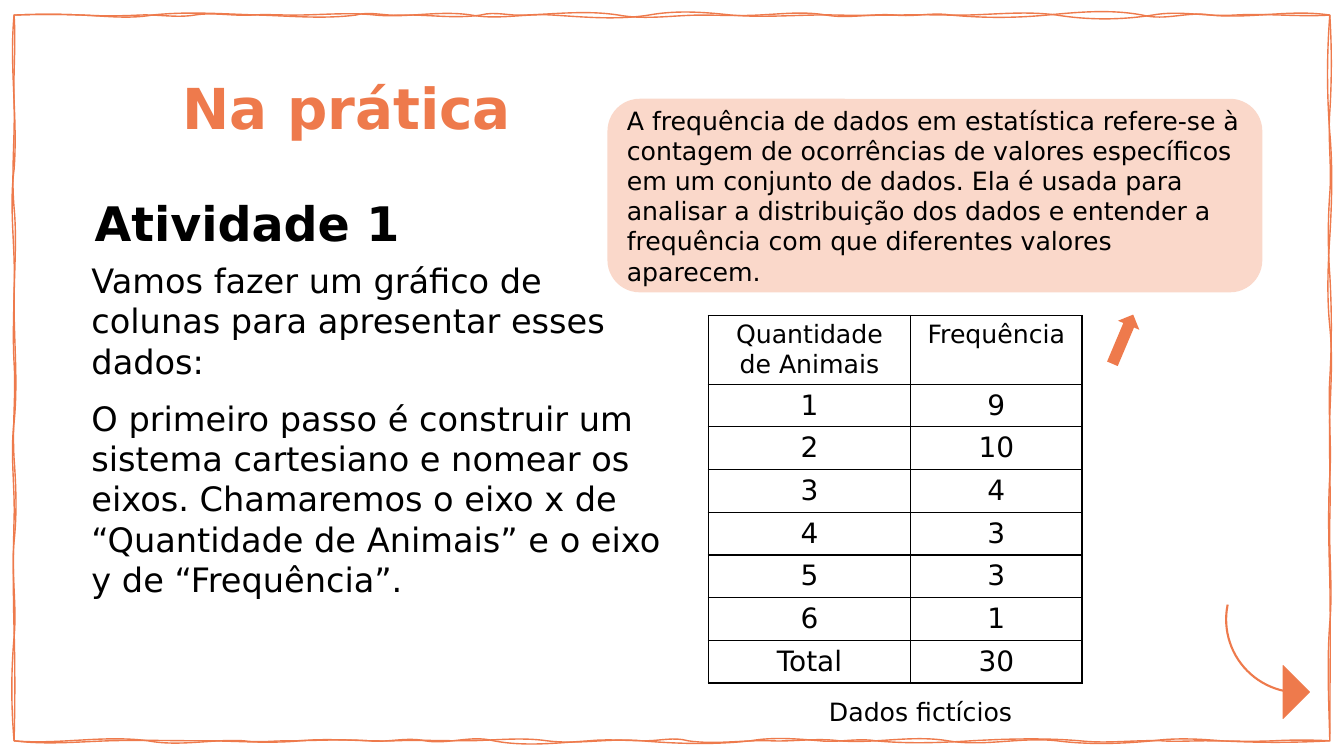
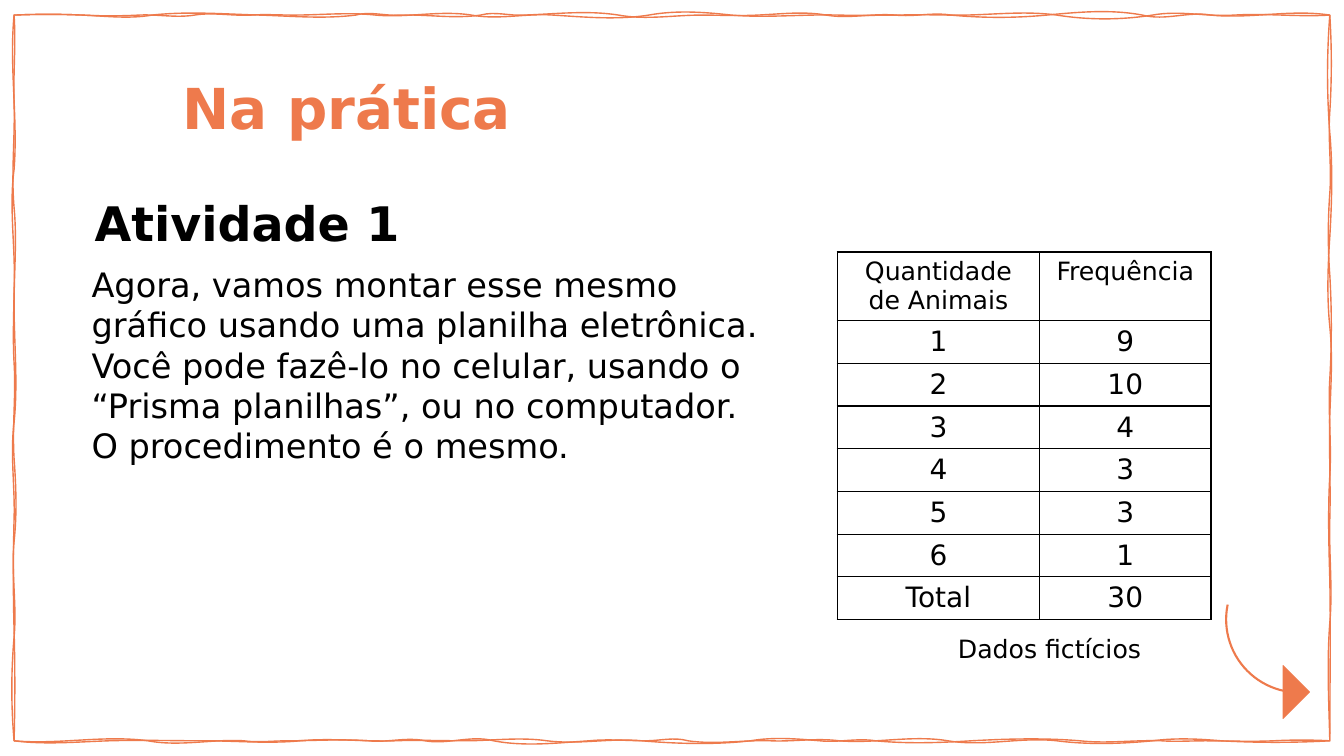
"""Builds two slides of a statistics lesson with a hand-drawn frame."""
from lxml import etree
from pptx import Presentation
from pptx.dml.color import RGBColor
from pptx.enum.shapes import MSO_SHAPE as Preset
from pptx.enum.text import MSO_ANCHOR as Anchor, MSO_AUTO_SIZE as AutoSize, PP_ALIGN as Align
from pptx.oxml.ns import qn
from pptx.util import Inches, Pt

ORANGE, PEACH, BLACK = "EE7A4C", "FAD8CA", "000000"
FONT = "DejaVu Sans"
TITLE, HEADING, CAPTION = "Na prática", "Atividade 1", "Dados fictícios"

FREQUENCIES = [
    ("Quantidade de Animais", "Frequência"),
    ("1", "9"),
    ("2", "10"),
    ("3", "4"),
    ("4", "3"),
    ("5", "3"),
    ("6", "1"),
    ("Total", "30"),
]
COLUMN_WIDTHS = (2.01, 1.7)
HEADER_HEIGHT, ROW_HEIGHT, TABLE_HEIGHT = 0.15, 0.41, 3.73

PAGES = [
    {
        "body": [
            "Vamos fazer um gráfico de colunas para apresentar esses dados:",
            "O primeiro passo é construir um sistema cartesiano e nomear os eixos. "
            "Chamaremos o eixo x de “Quantidade de Animais” e o eixo y de “Frequência”.",
        ],
        "body_at": (0.81, 2.53, 6.04, 3.67),
        "table_at": (7.03, 3.13),
        "callout": "A frequência de dados em estatística refere-se à contagem de ocorrências "
                   "de valores específicos em um conjunto de dados. Ela é usada para analisar "
                   "a distribuição dos dados e entender a frequência com que diferentes "
                   "valores aparecem.",
    },
    {
        "body": [
            "Agora, vamos montar esse mesmo gráfico usando uma planilha eletrônica. "
            "Você pode fazê-lo no celular, usando o “Prisma planilhas”, ou no computador. "
            "O procedimento é o mesmo.",
        ],
        "body_at": (0.81, 2.57, 6.82, 2.69),
        "table_at": (8.31, 2.5),
        "callout": None,
    },
]

FRAME_LEFT, FRAME_TOP, FRAME_RIGHT, FRAME_BOTTOM = 0.14, 0.15, 13.2, 7.35
STRANDS = [
    {
        "top": [(0.82, -1), (1.51, 4), (2.58, -1), (3.53, 4), (3.96, 1), (4.77, 4), (5.2, 1),
                (6.14, -5), (6.96, 0), (7.52, 1), (8.2, -4), (8.89, -2), (9.44, -3),
                (10.39, 3), (11.34, -6), (12.02, -4), (13.2, -6)],
        "right": [(1.32, -3), (2.35, 2), (3.24, -3), (4.12, 1), (5.15, 1), (6.18, 3),
                  (7.35, -1)],
        "bottom": [(12.64, -1), (11.96, 0), (11.53, 1), (10.72, 3), (9.64, -2), (8.69, 3),
                   (8.14, 2), (7.45, -4), (6.37, 3), (5.43, 4), (4.61, 0), (3.92, -1),
                   (2.98, -3), (2.03, 0), (1.08, -1), (0.14, 4)],
        "left": [(6.25, 1), (5.15, -1), (4.19, -4), (3.02, 0), (2.06, 3), (1.03, 1),
                 (0.15, 2)],
    },
    {
        "top": [(0.82, -1), (1.38, 1), (1.93, 3), (2.49, 1), (2.91, 0), (3.73, -3), (4.68, -5),
                (5.49, -2), (6.44, 5), (7.26, -3), (8.33, -1), (9.41, -1), (10.49, -5),
                (11.44, 5), (12.25, 2), (13.2, 2)],
        "right": [(1.11, 2), (1.92, 2), (2.73, -2), (3.76, 2), (4.72, 2), (5.75, -1),
                  (7.35, 0)],
        "bottom": [(12.12, 2), (11.44, -3), (10.49, 4), (9.41, 6), (8.33, 3), (7.65, 1),
                   (6.83, 4), (6.41, 0), (5.85, -2), (4.9, 6), (4.22, 4), (3.66, 2),
                   (2.85, 0), (2.42, 2), (1.47, 6), (0.14, 4)],
        "left": [(6.32, -3), (5.37, -3), (4.55, 2), (3.6, 2), (2.57, 1), (1.68, -4),
                 (0.15, -5)],
    },
]
SIDES = {
    "top": (FRAME_LEFT, FRAME_TOP),
    "right": (FRAME_TOP, FRAME_RIGHT),
    "bottom": (FRAME_RIGHT, FRAME_BOTTOM),
    "left": (FRAME_BOTTOM, FRAME_LEFT),
}


def color(value):
    return RGBColor.from_string(value)


def inches(values):
    return [Inches(value) for value in values]


def apply(target, **values):
    for name, value in values.items():
        setattr(target, name, value)


def write(frame, lines, size, tint=BLACK, bold=False, align=Align.LEFT, after=0,
          anchor=Anchor.TOP, insets=(0.1, 0.05)):
    across, down = inches(insets)
    apply(frame, word_wrap=True, auto_size=AutoSize.NONE, vertical_anchor=anchor,
          margin_left=across, margin_right=across, margin_top=down, margin_bottom=down)
    for index, line in enumerate(lines):
        para = frame.add_paragraph() if index else frame.paragraphs[0]
        apply(para, alignment=align, space_after=Pt(after))
        span = para.add_run()
        span.text = line
        apply(span.font, name=FONT, size=Pt(size), bold=bold)
        span.font.color.rgb = color(tint)


def write_cell(cell, value, size):
    across, down = inches((0.1, 0.05))
    apply(cell, margin_left=across, margin_right=across, margin_top=down, margin_bottom=down)
    para = cell.text_frame.paragraphs[0]
    para.alignment = Align.CENTER
    span = para.add_run()
    span.text = value
    apply(span.font, name=FONT, size=Pt(size), bold=False)
    span.font.color.rgb = color(BLACK)


def add_text(page, place, lines, size, **style):
    box = page.shapes.add_textbox(*inches(place))
    write(box.text_frame, lines, size, **style)


def paint(shape, fill=None, line=None, width=1):
    shape.shadow.inherit = False
    if fill:
        shape.fill.solid()
        shape.fill.fore_color.rgb = color(fill)
    else:
        shape.fill.background()
    if line:
        shape.line.color.rgb = color(line)
        shape.line.width = Pt(width)
    else:
        shape.line.fill.background()


def add_preset(shapes, kind, place, rotation=0, **look):
    shape = shapes.add_shape(kind, *inches(place))
    shape.rotation = rotation
    paint(shape, **look)
    return shape


def side_curves(side, knots):
    start, level = SIDES[side]
    lean = -knots[0][1]
    curves = []
    for end, next_lean in knots:
        third = (end - start) / 3
        curve = [(start + third, level - lean / 100), (end - third, level + next_lean / 100),
                 (end, level)]
        curves.append(curve if side in ("top", "bottom") else [point[::-1] for point in curve])
        start, lean = end, next_lean
    return curves


def bend(segment, curve):
    bow = etree.Element(qn("a:cubicBezTo"))
    for x, y in curve:
        etree.SubElement(bow, qn("a:pt"), x=str(Inches(x - FRAME_LEFT)),
                         y=str(Inches(y - FRAME_TOP)))
    segment.getparent().replace(segment, bow)


def add_frame(page, layout):
    corner = inches((FRAME_LEFT, FRAME_TOP))
    builder = page.shapes.build_freeform(*corner)
    curves = []
    for index, strand in enumerate(STRANDS):
        if index:
            builder.move_to(*corner)
        loop = [curve for side in SIDES for curve in side_curves(side, strand[side])]
        builder.add_line_segments([inches(curve[-1]) for curve in loop], close=True)
        curves += loop
    outline = builder.convert_to_shape()
    paint(outline, line=ORANGE)
    for segment, curve in zip(list(outline.element.iter(qn("a:lnTo"))), curves):
        bend(segment, curve)
    layout.shapes.element.append(outline.element)


def add_borders(cell):
    properties = cell._tc.get_or_add_tcPr()
    for index, tag in enumerate(("a:lnL", "a:lnR", "a:lnT", "a:lnB")):
        edge = etree.Element(qn(tag), w=str(Pt(1)))
        solid = etree.SubElement(edge, qn("a:solidFill"))
        etree.SubElement(solid, qn("a:srgbClr"), val=BLACK)
        properties.insert(index, edge)


def add_frequencies(page, left, top):
    place = inches((left, top, sum(COLUMN_WIDTHS), TABLE_HEIGHT))
    holder = page.shapes.add_table(len(FREQUENCIES), len(COLUMN_WIDTHS), *place)
    table = holder.table
    apply(table, first_row=False, horz_banding=False)
    for column, width in zip(table.columns, COLUMN_WIDTHS):
        column.width = Inches(width)
    for index, values in enumerate(FREQUENCIES):
        table.rows[index].height = Inches(ROW_HEIGHT if index else HEADER_HEIGHT)
        for cell, value in zip(table.rows[index].cells, values):
            write_cell(cell, value, 20 if index else 18)
            cell.fill.background()
            add_borders(cell)
    holder.height = Inches(TABLE_HEIGHT)
    add_text(page, (left + 1.1, top + TABLE_HEIGHT, 2.14, 0.4), [CAPTION], 18)


def add_next_arrow(page):
    group = page.shapes.add_group_shape()
    add_preset(group.shapes, Preset.RIGHT_TRIANGLE, (12.55, 6.68, 0.37, 0.37), 225,
               fill=ORANGE, line=ORANGE, width=0.75)
    add_preset(group.shapes, Preset.ARC, (12.17, 5.42, 1.45, 1.45), 191.7,
               line=ORANGE, width=1.5)


def add_page(deck, layout, content):
    page = deck.slides.add_slide(layout)
    title = page.shapes.title
    left, top, width, height = inches((1.71, 0.65, 5.7, 0.83))
    apply(title, left=left, top=top, width=width, height=height)
    write(title.text_frame, [TITLE], 40.3, tint=ORANGE, bold=True,
          anchor=Anchor.MIDDLE, insets=(0.1, 0.1))
    add_frequencies(page, *content["table_at"])
    add_text(page, content["body_at"], content["body"], 24, after=12)
    if content["callout"]:
        callout = add_preset(page.shapes, Preset.ROUNDED_RECTANGLE, (6.03, 0.98, 6.5, 1.92),
                             fill=PEACH)
        write(callout.text_frame, [content["callout"]], 18, anchor=Anchor.MIDDLE)
        add_preset(page.shapes, Preset.RIGHT_ARROW, (10.88, 3.25, 0.53, 0.23), 292.9,
                   fill=ORANGE)
    add_text(page, (0.81, 1.79, 3.52, 0.84), [HEADING], 34, bold=True, insets=(0.13, 0.13))
    add_next_arrow(page)
    return page


def main():
    deck = Presentation()
    apply(deck, slide_width=Inches(13.34), slide_height=Inches(7.5))
    layout = deck.slide_layouts.get_by_name("Title Only")
    pages = [add_page(deck, layout, content) for content in PAGES]
    add_frame(pages[0], layout)
    deck.save("out.pptx")


if __name__ == "__main__":
    main()
